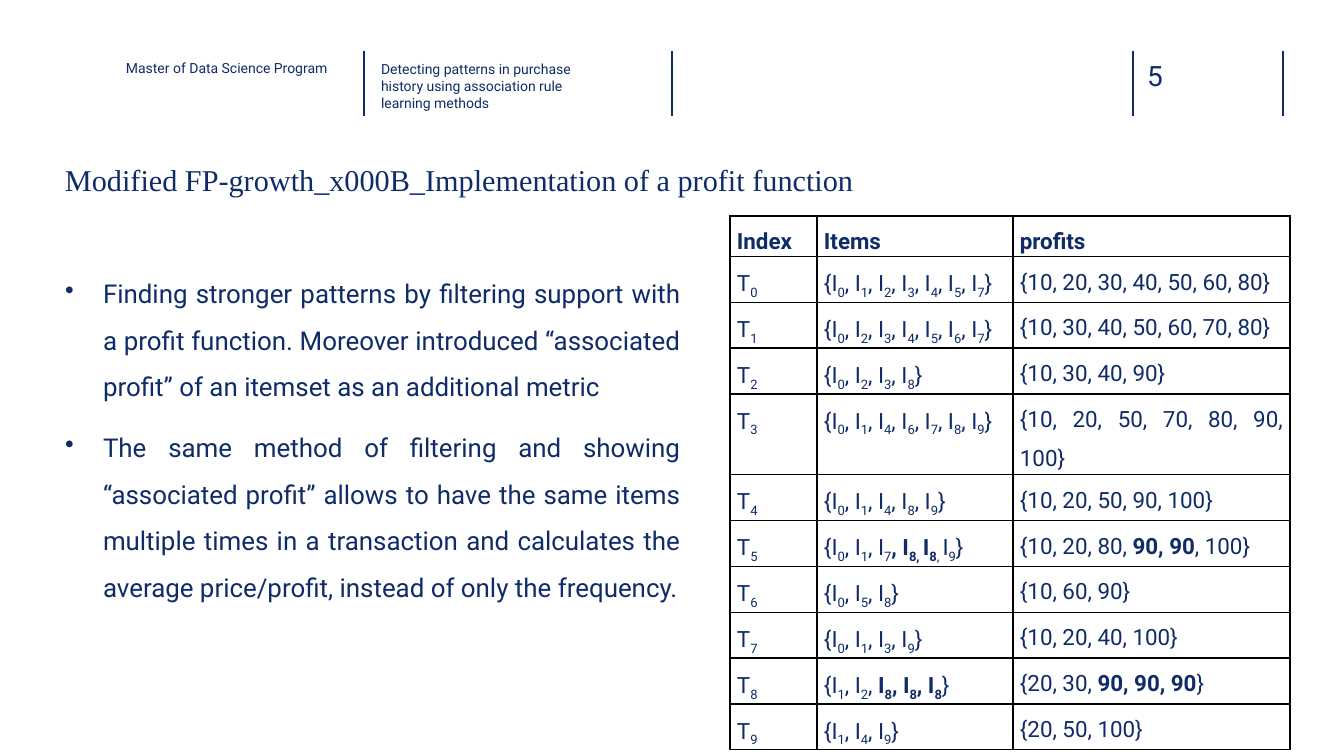
from lxml import etree
from pptx import Presentation
from pptx.dml.color import RGBColor
from pptx.enum.shapes import MSO_CONNECTOR
from pptx.enum.text import MSO_ANCHOR, PP_ALIGN
from pptx.oxml.ns import qn
from pptx.util import Emu, Pt

SCALE = 914400 / 100.8
NAVY = RGBColor(0x0F, 0x2C, 0x68)
RULE = RGBColor(0x10, 0x2D, 0x69)
BLACK = RGBColor(0, 0, 0)
LEFT, JUSTIFY = PP_ALIGN.LEFT, PP_ALIGN.JUSTIFY
TOP = MSO_ANCHOR.TOP
STRAIGHT = MSO_CONNECTOR.STRAIGHT
SANS, SERIF = "Roboto", "Times New Roman"

TITLE = "Modified FP-growth\vImplementation of a profit function"
POINTS = [
    "Finding stronger patterns by filtering support with a profit function. "
    "Moreover introduced “associated profit” of an itemset as an additional metric",
    "The same method of filtering and showing “associated profit” allows to have "
    "the same items multiple times in a transaction and calculates the average "
    "price/profit, instead of only the frequency.",
]
HEADS = ["*Index*", "*Items*", "*profits*"]
SALES = [
    ("0123457", "10, 20, 30, 40, 50, 60, 80"),
    ("0234567", "10, 30, 40, 50, 60, 70, 80"),
    ("0238", "10, 30, 40, 90"),
    ("0146789", "10, 20, 50, 70, 80, 90, 100"),
    ("01489", "10, 20, 50, 90, 100"),
    ("I_0_, I_1_, I_7_*, I_8, _I_8*, _I_9_", "10, 20, 80, *90, 90*, 100"),
    ("058", "10, 60, 90"),
    ("0139", "10, 20, 40, 100"),
    ("I_1_, I_2_, *I_8_, I_8_, I_8_*", "20, 30, *90, 90, 90*"),
    ("149", "20, 50, 100"),
]


def px(size):
    return Emu(round(size * SCALE))


def add_runs(para, text, size, font, color):
    sub = False
    for i, strong in enumerate(text.split("*")):
        for j, part in enumerate(strong.split("_")):
            if j:
                sub = not sub
            if not part:
                continue
            run = para.add_run()
            run.text = part
            run.font.size = Pt(size)
            run.font.name = font
            run.font.bold = i % 2 == 1
            run.font.color.rgb = color
            if sub:
                run.font._element.set("baseline", "-25000")


def add_bullet(para, indent):
    props = para._p.get_or_add_pPr()
    props.set("marL", str(px(indent)))
    props.set("indent", str(-px(indent)))
    etree.SubElement(props, qn("a:buChar")).set("char", "•")


def put_text(frame, *texts, size=10, font=SANS, color=NAVY, align=LEFT,
             lead=None, before=0, indent=0):
    frame.word_wrap = True
    for i, text in enumerate(texts):
        para = frame.add_paragraph() if i else frame.paragraphs[0]
        para.alignment = align
        para.line_spacing = lead
        para.space_before = Pt(before)
        if indent:
            add_bullet(para, indent)
        add_runs(para, text, size, font, color)


def add_text(slide, box, *texts, **style):
    frame = slide.shapes.add_textbox(*map(px, box)).text_frame
    frame.margin_left = frame.margin_right = 0
    frame.margin_top = frame.margin_bottom = 0
    frame.vertical_anchor = TOP
    put_text(frame, *texts, **style)


def add_rule(slide, left):
    line = slide.shapes.add_connector(STRAIGHT, px(left), px(51), px(left), px(116))
    line.line.color.rgb = RULE
    line.line.width = Pt(1)
    etree.SubElement(line._element.spPr, qn("a:effectLst"))


def add_border(cell):
    props = cell._tc.get_or_add_tcPr()
    for i, side in enumerate(("lnL", "lnR", "lnT", "lnB")):
        edge = etree.Element(qn("a:" + side), w=str(Pt(1)))
        fill = etree.SubElement(edge, qn("a:solidFill"))
        etree.SubElement(fill, qn("a:srgbClr")).set("val", str(BLACK))
        props.insert(i, edge)


def item_set(items):
    if items.isdigit():
        items = ", ".join(f"I_{item}_" for item in items)
    return "{" + items + "}"


def add_sales(slide):
    rows = [HEADS]
    for i, (items, profits) in enumerate(SALES):
        rows.append([f"T_{i}_", item_set(items), "{" + profits + "}"])
    widths = [87, 196, 277]
    frame = slide.shapes.add_table(len(rows), len(widths), px(730), px(216),
                                   px(sum(widths)), px(30 * len(rows)))
    table = frame.table
    table.first_row = table.horz_banding = False
    for col, width in zip(table.columns, widths):
        col.width = px(width)
    for i, row in enumerate(rows):
        for j, text in enumerate(row):
            cell = table.cell(i, j)
            cell.fill.background()
            cell.margin_left = cell.margin_right = px(7)
            cell.margin_top = cell.margin_bottom = 0
            put_text(cell.text_frame, text, size=16, align=JUSTIFY, lead=1.5)
            add_border(cell)


def main():
    deck = Presentation()
    deck.slide_width, deck.slide_height = px(1344), px(756)
    slide = deck.slides.add_slide(deck.slide_layouts[6])
    for left in (364, 672, 1133, 1283):
        add_rule(slide, left)
    add_text(slide, (1147, 58, 74, 34), "5", size=20, color=RULE)
    add_text(slide, (65, 159, 1225, 86), TITLE, size=21.6, font=SERIF, lead=1.07)
    add_text(slide, (65, 262, 615, 417), *POINTS, size=18.5, align=JUSTIFY,
             lead=1.5, before=10, indent=38)
    add_text(slide, (126, 60, 210, 45), "Master of Data Science Program")
    add_text(slide, (381, 61, 228, 45), "Detecting patterns in purchase history "
             "using association rule learning methods")
    add_sales(slide)
    deck.save("out.pptx")


main()
